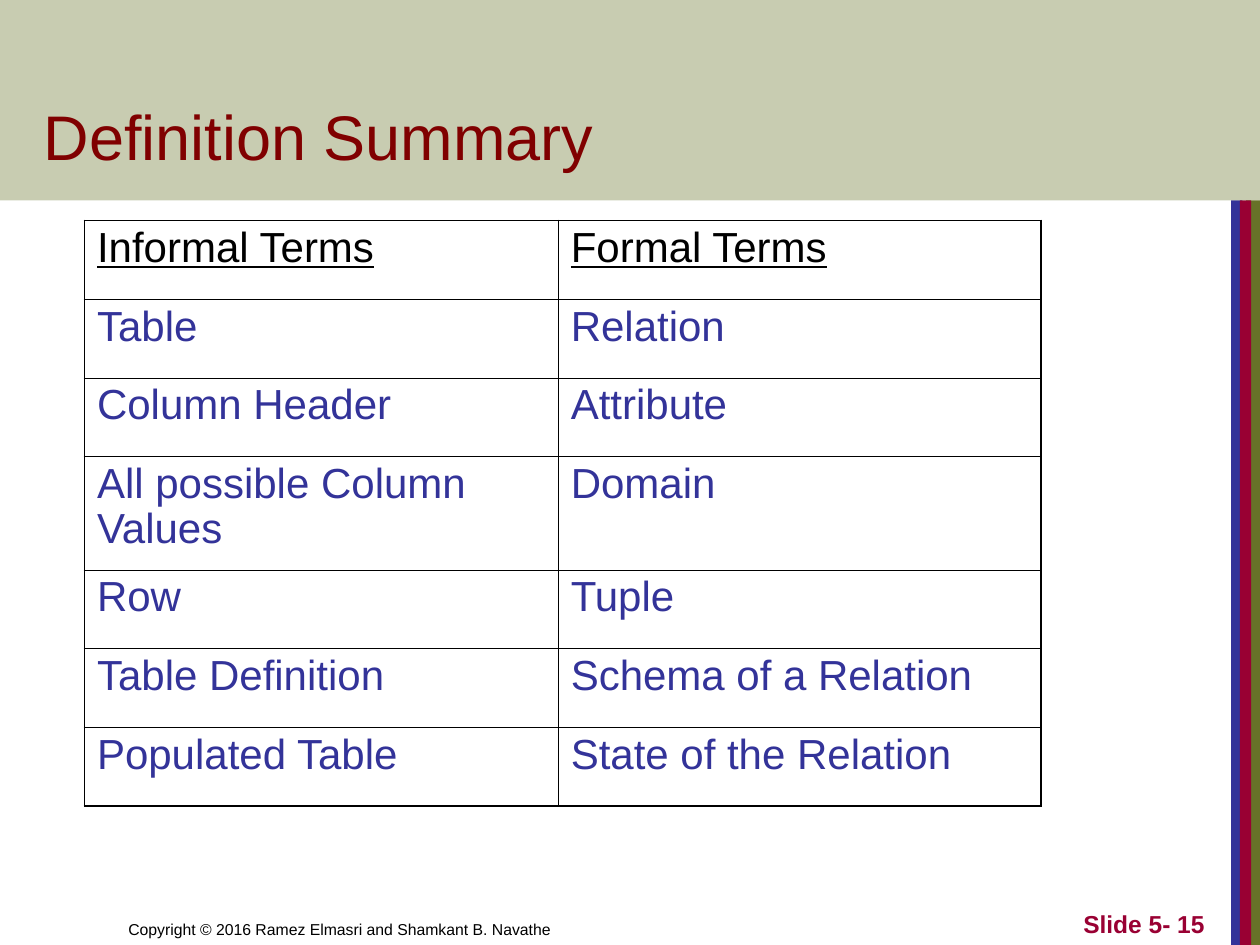
from lxml import etree
from pptx import Presentation
from pptx.dml.color import RGBColor
from pptx.enum.shapes import MSO_SHAPE
from pptx.enum.text import MSO_ANCHOR, PP_ALIGN
from pptx.oxml.ns import qn
from pptx.util import Inches, Pt

RECTANGLE = MSO_SHAPE.RECTANGLE
BOTTOM = MSO_ANCHOR.BOTTOM
LEFT, RIGHT = PP_ALIGN.LEFT, PP_ALIGN.RIGHT

WIDTH, HEIGHT = 10, 7.5
BAND_HEIGHT = 1.59
FONT = "Arial"
COLORS = {
    "olive": "677228",
    "blue": "333399",
    "crimson": "990033",
    "maroon": "800000",
    "black": "000000",
}
TERMS = [
    ("Informal Terms", "Formal Terms"),
    ("Table", "Relation"),
    ("Column Header", "Attribute"),
    ("All possible Column Values", "Domain"),
    ("Row", "Tuple"),
    ("Table Definition", "Schema of a Relation"),
    ("Populated Table", "State of the Relation"),
]
COLUMN_WIDTHS = [3.76, 3.83]
ROW_HEIGHT, TALL_ROW_HEIGHT, TALL_ROW = 0.625, 0.9, 3
OUTER_LINE, INNER_LINE = 1.08, 0.45


def inches(box):
    return [Inches(length) for length in box]


def style(paragraph, size, color, bold=False, underline=False):
    for run in paragraph.runs:
        run.font.name = FONT
        run.font.size = Pt(size)
        run.font.bold = bold
        run.font.underline = underline
        run.font.color.rgb = RGBColor.from_string(COLORS[color])


def add_bar(slide, box, color, opacity=100):
    bar = slide.shapes.add_shape(RECTANGLE, *inches(box))
    bar.shadow.inherit = False
    bar.line.fill.background()
    bar.fill.solid()
    bar.fill.fore_color.rgb = RGBColor.from_string(COLORS[color])
    if opacity < 100:
        tint = bar.fill._xPr.find(qn("a:solidFill"))[0]
        etree.SubElement(tint, qn("a:alpha"), val=str(opacity * 1000))


def add_side_stripes(slide, box):
    left, top, width, height = box
    stripes = [("olive", 0.12, 0.11), ("blue", 0, 0.09), ("crimson", 0.07, 0.09)]
    for color, offset, stripe_width in stripes:
        add_bar(slide, (left + offset, top, stripe_width, height), color)


def add_label(slide, box, text, size, color, align=LEFT, bold=False):
    frame = slide.shapes.add_textbox(*inches(box)).text_frame
    frame.word_wrap = True
    frame.vertical_anchor = BOTTOM
    frame.text = text
    frame.paragraphs[0].alignment = align
    style(frame.paragraphs[0], size, color, bold)


def set_borders(cell, widths):
    properties = cell._tc.get_or_add_tcPr()
    for position, (side, width) in enumerate(widths.items()):
        border = etree.Element(qn(f"a:ln{side}"), w=str(Pt(width)))
        fill = etree.SubElement(border, qn("a:solidFill"))
        etree.SubElement(fill, qn("a:srgbClr"), val=COLORS["black"])
        properties.insert(position, border)


def add_terms_table(slide, box):
    last_row, last_column = len(TERMS) - 1, len(COLUMN_WIDTHS) - 1
    table = slide.shapes.add_table(last_row + 1, last_column + 1, *inches(box)).table
    table.first_row = table.horz_banding = False
    for column, width in zip(table.columns, COLUMN_WIDTHS):
        column.width = Inches(width)
    for r, terms in enumerate(TERMS):
        table.rows[r].height = Inches(TALL_ROW_HEIGHT if r == TALL_ROW else ROW_HEIGHT)
        for c, term in enumerate(terms):
            cell = table.cell(r, c)
            cell.fill.background()
            cell.text = term
            paragraph = cell.text_frame.paragraphs[0]
            paragraph.line_spacing = 0.95
            style(paragraph, 24, "blue" if r else "black", underline=r == 0)
            edges = {"L": c == 0, "R": c == last_column, "T": r == 0, "B": r == last_row}
            set_borders(cell, {side: OUTER_LINE if outer else INNER_LINE
                               for side, outer in edges.items()})


def add_footer(slide, box):
    left, top, width, height = box
    add_label(slide, (left, top, 4.92, height),
              "Copyright © 2016 Ramez Elmasri and Shamkant B. Navathe", 9, "black")
    number_width = 2.08
    add_label(slide, (left + width - number_width, top, number_width, height),
              "Slide 5- 15", 14, "crimson", RIGHT, True)


def main():
    presentation = Presentation()
    presentation.slide_width, presentation.slide_height = inches((WIDTH, HEIGHT))
    slide = presentation.slides.add_slide(presentation.slide_layouts[6])
    add_side_stripes(slide, (WIDTH - 0.23, BAND_HEIGHT, 0.23, HEIGHT - BAND_HEIGHT))
    add_bar(slide, (0, 0, WIDTH, BAND_HEIGHT), "olive", 36)
    add_footer(slide, (0.92, HEIGHT - 0.5, 8.74, 0.5))
    add_label(slide, (0.25, 0.33, 8.53, 1.09), "Definition Summary", 36, "maroon")
    add_terms_table(slide, (0.67, 1.75, sum(COLUMN_WIDTHS), 4.65))
    presentation.save("out.pptx")


if __name__ == "__main__":
    main()
